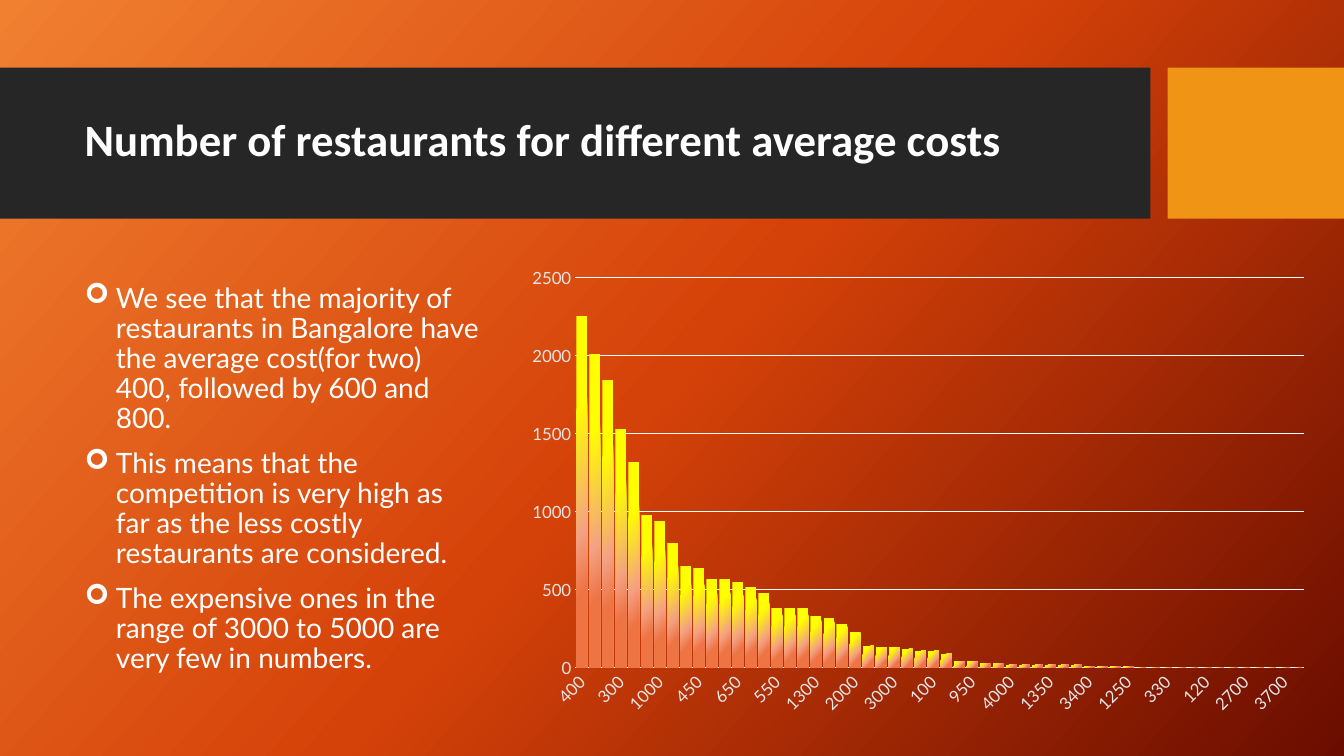
from dataclasses import dataclass

from lxml.etree import SubElement
from pptx import Presentation
from pptx.chart.data import CategoryChartData
from pptx.dml.color import RGBColor
from pptx.enum.chart import XL_CHART_TYPE as ChartType, XL_TICK_MARK as TickMark
from pptx.enum.shapes import MSO_SHAPE as Shape
from pptx.enum.text import MSO_ANCHOR as Anchor, MSO_AUTO_SIZE as AutoSize, PP_ALIGN as Align
from pptx.oxml.ns import qn
from pptx.util import Inches, Pt

HEADING = "Number of restaurants for different average costs"
FINDINGS = [
    "We see that the majority of restaurants in Bangalore have the average cost(for two) 400, followed by 600 and 800.",
    "This means that the competition is very high as far as the less costly restaurants are considered.",
    "The expensive ones in the range of 3000 to 5000 are very few in numbers.",
]
COSTS = [
    400, 500, 600, 300, 800, 700, 1000, 200, 250, 450, 750, 1200, 650, 1500,
    350, 550, 900, 1100, 1300, 150, 1400, 2000, 1700, 1800, 3000, 1600, 850, 100,
    2500, 2100, 950, 1900, 2200, 4000, 3500, 2800, 1350, 180, 2400, 3400, 230, 40,
    1250, 4100, 1450, 330, 1050, 4500, 120, 6000, 3200, 2700, 5000, 1650, 3700, 2300,
]
LEADING_COUNTS = [
    2250, 2010, 1840, 1530, 1320, 980, 940, 800, 650, 640, 570, 570, 550, 520,
    480, 380, 380, 380, 330, 320, 280, 230, 140, 130, 130, 120, 110, 110, 90,
]
COUNTS = LEADING_COUNTS + [40] * 2 + [30] * 2 + [20] * 6 + [10] * 4
COUNTS += [0] * (len(COSTS) - len(COUNTS))


@dataclass(frozen=True)
class Theme:
    heading_font: str = "Calibri"
    body_font: str = "Lato"
    heading_size: int = 32
    body_size: int = 20
    axis_size: int = 12
    text: str = "FFFFFF"
    axis_text: str = "E7E6E6"
    rule: str = "FBFBFB"
    band: str = "262626"
    accent: str = "F09415"
    angle: int = 42
    backdrop: tuple = ((0, "F18031"), (50, "D54209"), (100, "6A0D00"))
    bars: tuple = ((25, "FFFF00"), (61, "F4A283"), (78, "EE7444"))


THEME = Theme()
WIDTH, HEIGHT = 13.33, 7.5
MARGIN = 0.74
BAND_TOP, BAND_HEIGHT, BAND_WIDTH, BAND_GAP = 0.67, 1.5, 11.41, 0.17
CONTENT_TOP = 2.56
ACCENT_LEFT = BAND_WIDTH + BAND_GAP


def box(*lengths):
    return [Inches(length) for length in lengths]


def place(placeholder, *lengths):
    placeholder.left, placeholder.top, placeholder.width, placeholder.height = box(*lengths)
    frame = placeholder.text_frame
    frame.word_wrap = True
    frame.auto_size = AutoSize.NONE
    frame.vertical_anchor = Anchor.MIDDLE
    return frame


def style(font, family, size, color, bold=False):
    font.name, font.size, font.bold = family, Pt(size), bold
    font.color.rgb = RGBColor.from_string(color)


def write(paragraph, words, family, size, bold=False):
    paragraph.alignment = Align.LEFT
    paragraph.line_spacing = 0.9
    run = paragraph.add_run()
    run.text = words
    style(run.font, family, size, THEME.text, bold)


def blend(fill, owner, stops):
    fill.gradient()
    gradient = next(owner.iter(qn("a:gradFill")))
    for child in list(gradient):
        gradient.remove(child)
    stop_list = SubElement(gradient, qn("a:gsLst"))
    for position, color in stops:
        stop = SubElement(stop_list, qn("a:gs"), pos=str(position * 1000))
        SubElement(stop, qn("a:srgbClr"), val=color)
    SubElement(gradient, qn("a:lin"), ang=str(THEME.angle * 60000), scaled="0")


def add_bands(slide):
    bands = [(0, BAND_WIDTH, THEME.band), (ACCENT_LEFT, WIDTH - ACCENT_LEFT, THEME.accent)]
    for layer, (left, width, color) in enumerate(bands, start=2):
        band = slide.shapes.add_shape(Shape.RECTANGLE, *box(left, BAND_TOP, width, BAND_HEIGHT))
        band.shadow.inherit = False
        band.fill.solid()
        band.fill.fore_color.rgb = RGBColor.from_string(color)
        band.line.fill.background()
        slide.shapes._spTree.insert(layer, band._element)


def add_findings(frame):
    for index, finding in enumerate(FINDINGS):
        paragraph = frame.add_paragraph() if index else frame.paragraphs[0]
        properties = paragraph._p.get_or_add_pPr()
        properties.set("marL", str(Inches(0.31)))
        properties.set("indent", str(-Inches(0.31)))
        SubElement(properties, qn("a:buFont"), typeface="Wingdings")
        SubElement(properties, qn("a:buChar"), char="➢")
        paragraph.space_before = Pt(10 if index else 0)
        write(paragraph, finding, THEME.body_font, THEME.body_size)


def rule_line(line):
    line.color.rgb = RGBColor.from_string(THEME.rule)
    line.width = Pt(0.75)


def add_cost_chart(slide):
    data = CategoryChartData()
    data.categories = [str(cost) for cost in COSTS]
    data.add_series("Series 1", COUNTS)
    chart = slide.shapes.add_chart(
        ChartType.COLUMN_CLUSTERED, *box(5.12, CONTENT_TOP, 7.97, 4.61), data).chart
    chart.has_legend = chart.has_title = False
    style(chart.font, THEME.body_font, 10, THEME.text)
    for axis in (chart.category_axis, chart.value_axis):
        axis.major_tick_mark = axis.minor_tick_mark = TickMark.NONE
        style(axis.tick_labels.font, THEME.body_font, THEME.axis_size, THEME.axis_text)
    cost_axis, count_axis = chart.category_axis, chart.value_axis
    cost_axis.has_major_gridlines = False
    rule_line(cost_axis.format.line)
    next(cost_axis._element.iter(qn("a:bodyPr"))).set("rot", str(-45 * 60000))
    count_axis.minimum_scale, count_axis.maximum_scale, count_axis.major_unit = 0, 2500, 500
    count_axis.format.line.fill.background()
    rule_line(count_axis.major_gridlines.format.line)
    plot = chart.plots[0]
    plot.gap_width = 20
    plot.vary_by_categories = False
    restaurants = plot.series[0]
    blend(restaurants.format.fill, restaurants._element, THEME.bars)


def main():
    deck = Presentation()
    deck.slide_width, deck.slide_height = box(WIDTH, HEIGHT)
    slide = deck.slides.add_slide(deck.slide_layouts[1])
    blend(slide.background.fill, slide._element, THEME.backdrop)
    add_bands(slide)
    heading = place(slide.shapes.title, MARGIN, 0.82, 10.51, 1.18)
    write(heading.paragraphs[0], HEADING, THEME.heading_font, THEME.heading_size, bold=True)
    add_findings(place(slide.placeholders[1], MARGIN, CONTENT_TOP, 4.14, 4.39))
    add_cost_chart(slide)
    deck.save("out.pptx")


if __name__ == "__main__":
    main()
